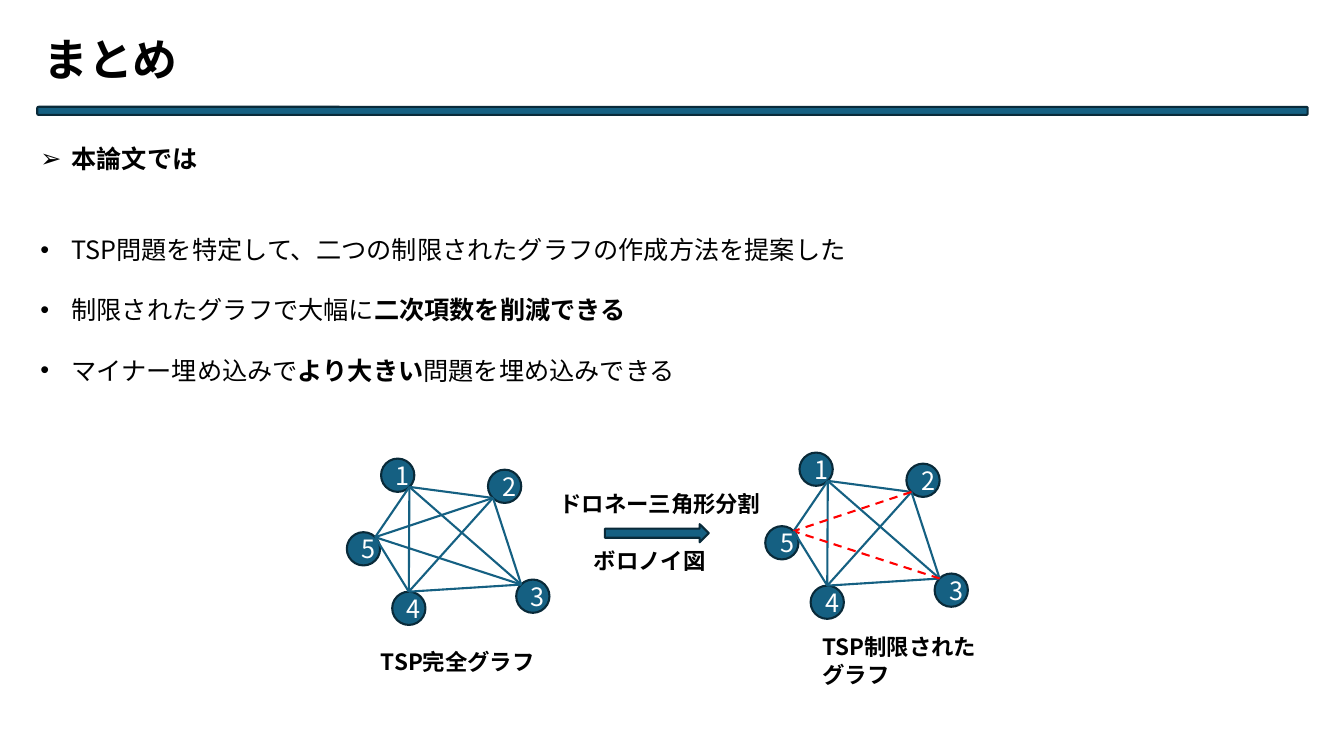
from itertools import combinations

from lxml import etree
from pptx import Presentation
from pptx.dml.color import RGBColor
from pptx.enum.dml import MSO_LINE
from pptx.enum.shapes import MSO_CONNECTOR, MSO_SHAPE
from pptx.enum.text import MSO_ANCHOR, MSO_AUTO_SIZE, PP_ALIGN
from pptx.oxml.ns import qn
from pptx.util import Inches, Pt

# Content
FONT = "Noto Sans CJK SC"
BLUE, NAVY, RED, BLACK, WHITE = "156082", "092A39", "FF0000", "000000", "FFFFFF"

TITLE = "まとめ"
# bullet, space before in points, runs of (text, bold)
POINTS = [
    ("➢", 0, [("本論文では", True)]),
    ("•", 41, [("TSP問題を特定して、二つの制限されたグラフの作成方法を提案した", False)]),
    ("•", 19, [("制限されたグラフで大幅に", False), ("二次項数を削減できる", True)]),
    ("•", 19, [("マイナー埋め込みで", False), ("より大きい", True),
               ("問題を埋め込みできる", False)]),
]

# node: left, top, and where its edges meet it as fractions of the diameter
NODE_SIZE = 0.33
NEAR, FAR = 0.15, 0.85
NODES = {
    "1": (3.78, 4.55, FAR, FAR),
    "2": (4.84, 4.66, NEAR, FAR),
    "3": (5.12, 5.75, NEAR, NEAR),
    "4": (3.89, 5.87, 0.5, 0),
    "5": (3.44, 5.28, FAR, NEAR),
}
# graph: shift right, shift down, removed edges
GRAPHS = [
    (0, 0, []),
    (4.15, -0.06, [("2", "5"), ("3", "5")]),
]
LABELS = [
    (5.45, 4.8, 2.22, 0.37, ["ドロネー三角形分割"]),
    (5.79, 5.37, 1.32, 0.37, ["ボロノイ図"]),
    (3.68, 6.37, 2.1, 0.46, ["TSP完全グラフ"]),
    (8.06, 6.22, 2.1, 0.79, ["TSP制限された", "グラフ"]),
]


def rgb(value):
    return RGBColor.from_string(value)


def style(r, size, color, bold=False):
    r.font.size, r.font.bold, r.font.name = Pt(size), bold, FONT
    r.font.color.rgb = rgb(color)
    etree.SubElement(r.font._element, qn("a:ea")).set("typeface", FONT)


def place(sp, left, top, width, height):
    sp.left, sp.top = Inches(left), Inches(top)
    sp.width, sp.height = Inches(width), Inches(height)


def add_bullet(p, char):
    pPr = p._p.get_or_add_pPr()
    pPr.set("marL", str(Inches(0.31)))
    pPr.set("indent", str(Inches(-0.31)))
    etree.SubElement(pPr, qn("a:buFont")).set("typeface", "Arial")
    etree.SubElement(pPr, qn("a:buChar")).set("char", char)


def add_filled(slide, kind, left, top, width, height):
    sp = slide.shapes.add_shape(kind, Inches(left), Inches(top),
                                Inches(width), Inches(height))
    sp.shadow.inherit = False
    sp.fill.solid()
    sp.fill.fore_color.rgb = rgb(BLUE)
    sp.line.color.rgb = rgb(NAVY)
    sp.line.width = Pt(1.5)
    return sp


def add_edge(slide, start, end, removed):
    edge = slide.shapes.add_connector(
        MSO_CONNECTOR.STRAIGHT, *[Inches(v) for v in start + end])
    edge.line.color.rgb = rgb(RED if removed else BLUE)
    edge.line.width = Pt(1.5)
    if removed:
        edge.line.dash_style = MSO_LINE.DASH
    etree.SubElement(edge._element.spPr, qn("a:effectLst"))


def add_graph(slide, dx, dy, removed):
    joints = {}
    for name, (x, y, fx, fy) in NODES.items():
        left, top = x + dx, y + dy
        node = add_filled(slide, MSO_SHAPE.OVAL, left, top, NODE_SIZE, NODE_SIZE)
        p = node.text_frame.paragraphs[0]
        p.text = name
        p.alignment = PP_ALIGN.CENTER
        style(p.runs[0], 18, WHITE)
        joints[name] = (left + fx * NODE_SIZE, top + fy * NODE_SIZE)
    for pair in combinations(NODES, 2):
        add_edge(slide, joints[pair[0]], joints[pair[1]], pair in removed)


def add_label(slide, left, top, width, height, lines):
    box = slide.shapes.add_textbox(Inches(left), Inches(top),
                                   Inches(width), Inches(height))
    tf = box.text_frame
    tf.word_wrap = True
    tf.margin_right = 0
    tf.text = "\n".join(lines)
    for p in tf.paragraphs:
        p.line_spacing = Pt(20)
        style(p.runs[0], 16, BLACK, True)


def main():
    prs = Presentation()
    prs.slide_width, prs.slide_height = Inches(13.33), Inches(7.5)
    slide = prs.slides.add_slide(prs.slide_layouts[1])

    # Title and rule
    title, body = slide.placeholders
    place(title, 0.33, 0.26, 5.34, 0.64)
    tf = title.text_frame
    tf.text = TITLE
    tf.auto_size = MSO_AUTO_SIZE.NONE
    tf.vertical_anchor = MSO_ANCHOR.MIDDLE
    tf.paragraphs[0].alignment = PP_ALIGN.LEFT
    style(tf.paragraphs[0].runs[0], 32, BLACK, True)
    add_filled(slide, MSO_SHAPE.ROUNDED_RECTANGLE, 0.37, 1.06, 12.6, 0.08)

    # Summary points
    place(body, 0.3, 1.34, 11.65, 2.52)
    tf = body.text_frame
    tf.auto_size = MSO_AUTO_SIZE.NONE
    tf.vertical_anchor = MSO_ANCHOR.TOP
    for i, (char, gap, runs) in enumerate(POINTS):
        p = tf.add_paragraph() if i else tf.paragraphs[0]
        add_bullet(p, char)
        p.line_spacing, p.space_before = Pt(24), Pt(gap)
        for text, bold in runs:
            r = p.add_run()
            r.text = text
            style(r, 18, BLACK, bold)

    # Complete graph, arrow, restricted graph
    for dx, dy, removed in GRAPHS:
        add_graph(slide, dx, dy, removed)
    add_filled(slide, MSO_SHAPE.RIGHT_ARROW, 6, 5.2, 1.03, 0.18)
    for label in LABELS:
        add_label(slide, *label)

    prs.save("out.pptx")


if __name__ == "__main__":
    main()
